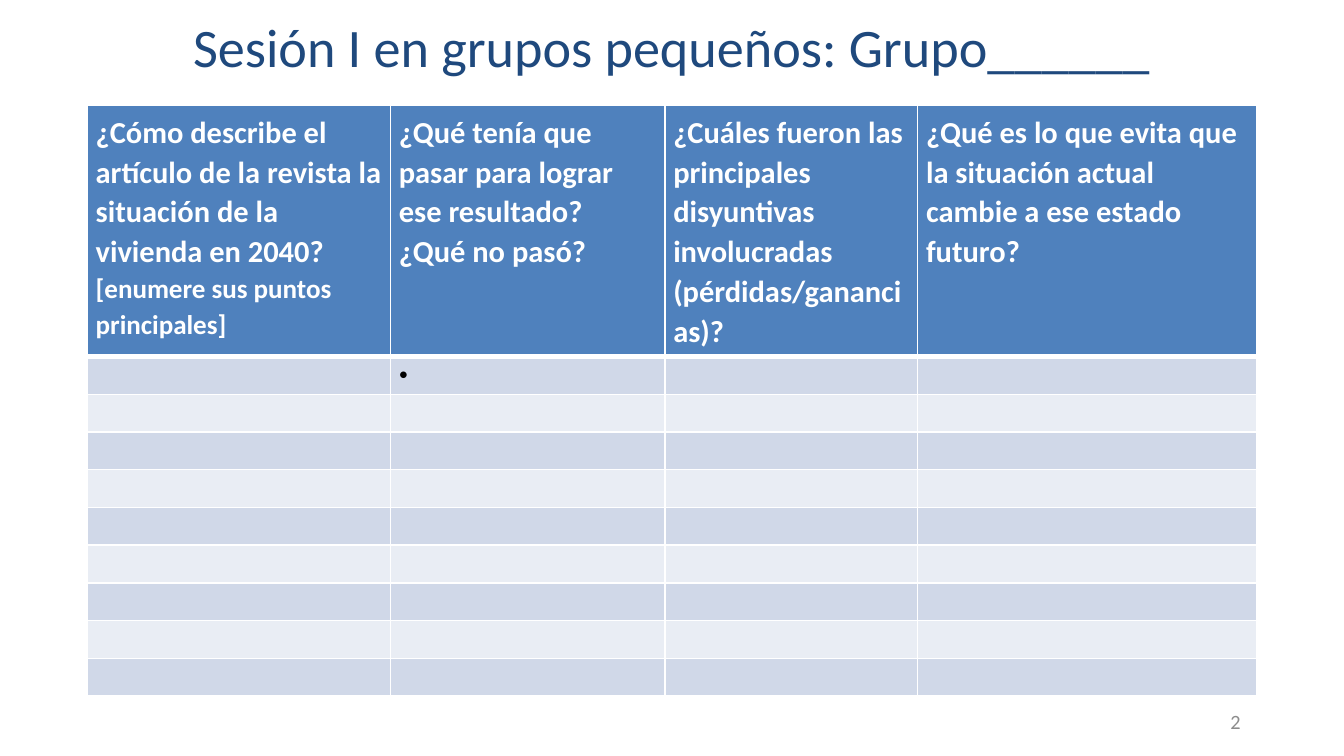
from pptx import Presentation
from pptx.util import Pt
from pptx.dml.color import RGBColor as RGB
from pptx.enum.text import PP_ALIGN as Align, MSO_ANCHOR as Anchor
from pptx.oxml.ns import qn
from lxml.etree import SubElement as Sub

HUES = {"head": "4F81BD", "odd": "D0D8E8", "even": "E9EDF4", "edge": "FFFFFF",
        "title": "1F497D", "page": "8C8C8C", "dot": "000000"}
FONT = "Calibri"


def style(run, size, hue, bold=False):
    font = run.font
    font.name, font.size, font.bold = FONT, Pt(size), bold
    font.color.rgb = RGB.from_string(HUES[hue])


def border(cell, low):
    props = cell._tc.get_or_add_tcPr()
    sides = [("lnL", 0.96), ("lnR", 0.96), ("lnT", 0.96), ("lnB", low)]
    for spot, (side, width) in enumerate(sides):
        line = Sub(props, qn("a:" + side), w=str(Pt(width)))
        fill = Sub(line, qn("a:solidFill"))
        Sub(fill, qn("a:srgbClr"), val=HUES["edge"])
        props.insert(spot, line)


deck = Presentation()
deck.slide_width, deck.slide_height = Pt(793.44), Pt(446.4)
slide = deck.slides.add_slide(deck.slide_layouts[6])

heads = [
    [[("¿Cómo describe el artículo de la revista la situación de la vivienda en 2040? ", 18),
      ("[enumere sus puntos principales]", 16)]],
    [[("¿Qué tenía que pasar para lograr ese resultado?", 18)],
     [("¿Qué no pasó?", 18)]],
    [[("¿Cuáles fueron las principales disyuntivas involucradas (pérdidas/ganancias)?", 18)]],
    [[("¿Qué es lo que evita que la situación actual cambie a ese estado futuro?", 18)]],
]
widths = [179, 162, 149.3, 200.2]
count = 10

frame = slide.shapes.add_table(count, len(heads), Pt(51.5), Pt(62.3), Pt(690.5), Pt(347))
table = frame.table
for col, width in zip(table.columns, widths):
    col.width = Pt(width)
for num, row in enumerate(table.rows):
    row.height = Pt(22.3 if num else 146.3)
    for cell in row.cells:
        cell.margin_left = cell.margin_right = Pt(5)
        cell.margin_top = cell.margin_bottom = Pt(3.6)
        cell.fill.solid()
        hue = "head" if num == 0 else "odd" if num % 2 else "even"
        cell.fill.fore_color.rgb = RGB.from_string(HUES[hue])
        border(cell, 0.96 if num else 3)
        if num:
            Sub(cell.text_frame.paragraphs[0]._p, qn("a:endParaRPr"), sz="1100")

for cell, paras in zip(table.rows[0].cells, heads):
    text = cell.text_frame
    for num, parts in enumerate(paras):
        para = text.add_paragraph() if num else text.paragraphs[0]
        para.line_spacing = 1.07
        for words, size in parts:
            run = para.add_run()
            run.text = words
            style(run, size, "head", True)
            run.font.color.rgb = RGB.from_string(HUES["edge"])

dot = table.cell(1, 1).text_frame.paragraphs[0]
dot.text = "•"
style(dot.runs[0], 11, "dot")

labels = [
    ("Sesión I en grupos pequeños: Grupo______", (34.6, 0, 724.3, 54), 32, "title", Align.CENTER),
    ("2", (560.9, 414, 178.6, 23.8), 12, "page", Align.RIGHT),
]
for words, place, size, hue, align in labels:
    text = slide.shapes.add_textbox(*map(Pt, place)).text_frame
    text.word_wrap = True
    text.vertical_anchor = Anchor.MIDDLE
    text.text = words
    para = text.paragraphs[0]
    para.alignment = align
    style(para.runs[0], size, hue)

deck.save("out.pptx")
